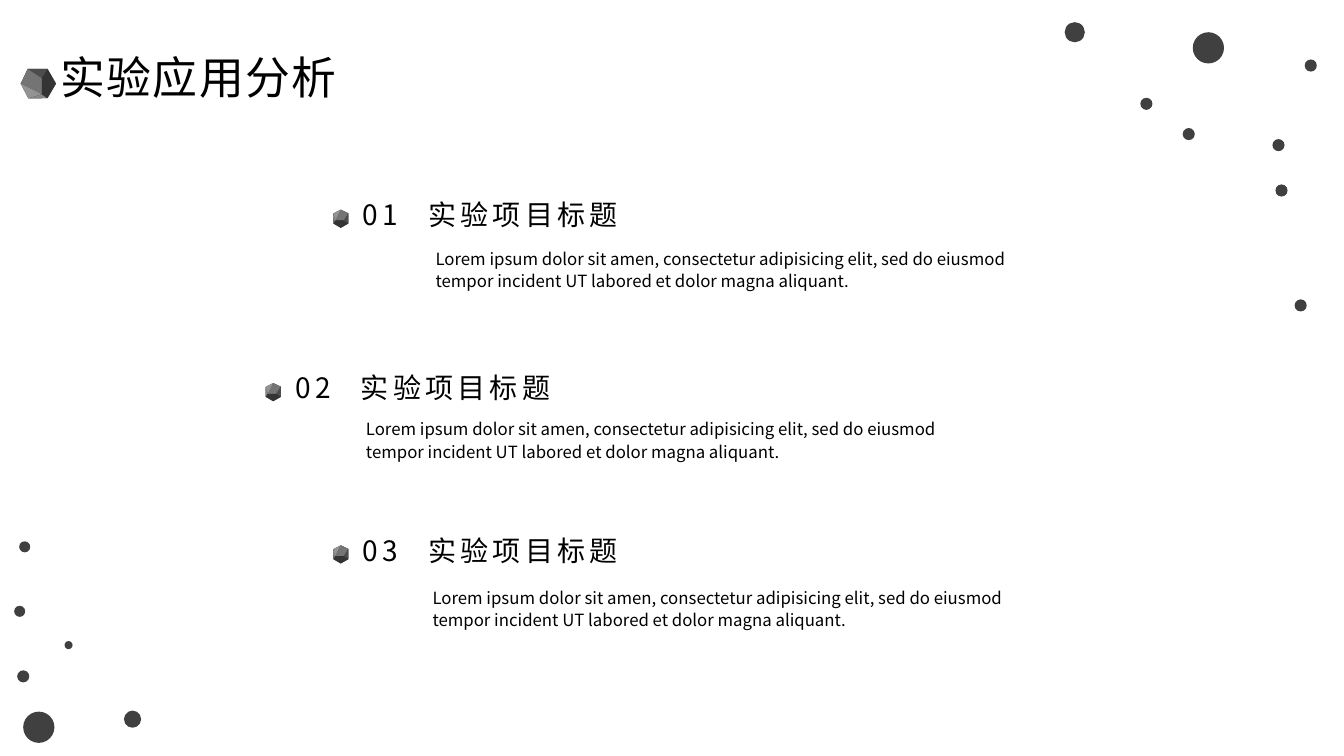
"""Builds a slide with three numbered experiment topics, gem markers and scattered dots."""
from dataclasses import dataclass

from lxml.etree import SubElement
from pptx import Presentation
from pptx.dml.color import RGBColor
from pptx.enum.shapes import MSO_SHAPE
from pptx.enum.text import MSO_ANCHOR, MSO_AUTO_SIZE, PP_ALIGN
from pptx.oxml.ns import qn
from pptx.util import Inches, Pt

TITLE = "实验应用分析"
DESCRIPTION = ("Lorem ipsum dolor sit amen, consectetur adipisicing elit, sed do eiusmod "
               "tempor incident UT labored et dolor magna aliquant.")
TOPICS = [
    {"number": "01", "heading": "实验项目标题", "heading_at": (3.55, 1.96), "description_at": (4.27, 2.4)},
    {"number": "02", "heading": "实验项目标题", "heading_at": (2.88, 3.68), "description_at": (3.58, 4.09)},
    {"number": "03", "heading": "实验项目标题", "heading_at": (3.55, 5.29), "description_at": (4.24, 5.76)},
]
DOTS = [
    (1.23, 7.05, 0.17), (0.14, 6.01, 0.11), (0.19, 5.37, 0.11), (0.17, 6.65, 0.12),
    (0.64, 6.36, 0.08), (10.56, 0.22, 0.2), (12.62, 1.38, 0.12), (11.31, 0.97, 0.12),
    (12.84, 2.97, 0.12), (12.94, 0.59, 0.12), (11.83, 0.32, 0.31), (0.23, 7.06, 0.31),
    (12.65, 1.83, 0.12), (11.73, 1.27, 0.12),
]
GEM_CORNERS = {
    "top": (0, -0.5), "upper_right": (0.42, -0.3), "lower_right": (0.42, 0.26),
    "bottom": (0, 0.5), "lower_left": (-0.41, 0.26), "upper_left": (-0.42, -0.28),
    "inner_left": (-0.3, 0.1), "inner_right": (0.16, 0.1),
}
GEM_FACETS = [
    ("262626", "top upper_right lower_right bottom lower_left upper_left"),
    ("747474", "top inner_left inner_right upper_right"),
    ("939393", "upper_left inner_left top"),
    ("868686", "upper_left lower_left inner_left"),
    ("343434", "lower_left bottom lower_right inner_right inner_left"),
    ("4D4D4D", "upper_right lower_right inner_right"),
]


@dataclass(frozen=True)
class Theme:
    """Colours, fonts and type sizes of the slide."""
    ink: str = "000000"
    dot: str = "404040"
    font: str = "Noto Sans CJK SC"
    heading_font: str = "Noto Sans CJK JP"
    title_size: int = 32
    heading_size: int = 20
    description_size: int = 12
    tight: float = 0.85
    loose: float = 1.1


THEME = Theme()


def paint(shape, colour):
    """Give a shape a plain fill without line or shadow."""
    shape.shadow.inherit = False
    shape.fill.solid()
    shape.fill.fore_color.rgb = RGBColor.from_string(colour)
    shape.line.fill.background()


def write(box, texts, font, size, line_spacing, tracking=0):
    """Fill a box with one left-aligned paragraph of runs and return the paragraph."""
    frame = box.text_frame
    frame.word_wrap = True
    frame.auto_size = MSO_AUTO_SIZE.SHAPE_TO_FIT_TEXT
    frame.vertical_anchor = MSO_ANCHOR.TOP
    frame.margin_left = frame.margin_right = Inches(0.05)
    frame.margin_top = frame.margin_bottom = Inches(0.05)
    paragraph = frame.paragraphs[0]
    paragraph.alignment = PP_ALIGN.LEFT
    paragraph.line_spacing = line_spacing
    paragraph.space_before = Pt(0)
    for text in texts:
        run = paragraph.add_run()
        run.text = text
        run.font.name = font
        run.font.size = Pt(size)
        run.font.color.rgb = RGBColor.from_string(THEME.ink)
        properties = run.font._element
        SubElement(properties, qn("a:ea"), typeface=font)
        if tracking:
            properties.set("spc", str(tracking * 100))
    return paragraph


def add_gem(shapes, center_x, center_y, size, lying=False):
    """Draw a faceted gem around a centre, upright or turned a quarter to the left."""
    for colour, corners in GEM_FACETS:
        outline = []
        for corner in corners.split():
            across, down = GEM_CORNERS[corner]
            if lying:
                across, down = down, -across
            outline.append((Inches(center_x + across * size), Inches(center_y + down * size)))
        facet = shapes.build_freeform(*outline[0])
        facet.add_line_segments(outline[1:], close=True)
        paint(facet.convert_to_shape(), colour)


def add_topic(slide, topic):
    """Add a gem with its numbered heading, and the description below."""
    left, top = topic["heading_at"]
    group = slide.shapes.add_group_shape()
    add_gem(group.shapes, left - 0.17, top + 0.21, 0.18)
    heading = group.shapes.add_textbox(Inches(left), Inches(top), Inches(3.55), Inches(0.44))
    paragraph = write(heading, [topic["number"], "\t", topic["heading"]], THEME.heading_font,
                      THEME.heading_size, THEME.tight, tracking=3)
    stops = SubElement(paragraph._p.get_or_add_pPr(), qn("a:tabLst"))
    SubElement(stops, qn("a:tab"), pos=str(Inches(0.65)), algn="l")

    left, top = topic["description_at"]
    description = slide.shapes.add_textbox(Inches(left), Inches(top), Inches(5.9), Inches(0.6))
    write(description, [DESCRIPTION], THEME.font, THEME.description_size, THEME.loose)


def main():
    """Build and save the slide."""
    deck = Presentation()
    deck.slide_width, deck.slide_height = Inches(13.33), Inches(7.5)
    slide = deck.slides.add_slide(deck.slide_layouts[5])

    title = slide.shapes.title
    title.left, title.top = Inches(0.55), Inches(0.52)
    title.width, title.height = Inches(5.85), Inches(0.64)
    write(title, [TITLE], THEME.font, THEME.title_size, THEME.tight, tracking=1)

    for left, top, diameter in DOTS:
        dot = slide.shapes.add_shape(MSO_SHAPE.OVAL, Inches(left), Inches(top),
                                     Inches(diameter), Inches(diameter))
        paint(dot, THEME.dot)

    add_gem(slide.shapes.add_group_shape().shapes, 0.38, 0.83, 0.35, lying=True)
    for topic in TOPICS:
        add_topic(slide, topic)

    deck.save("out.pptx")


if __name__ == "__main__":
    main()
